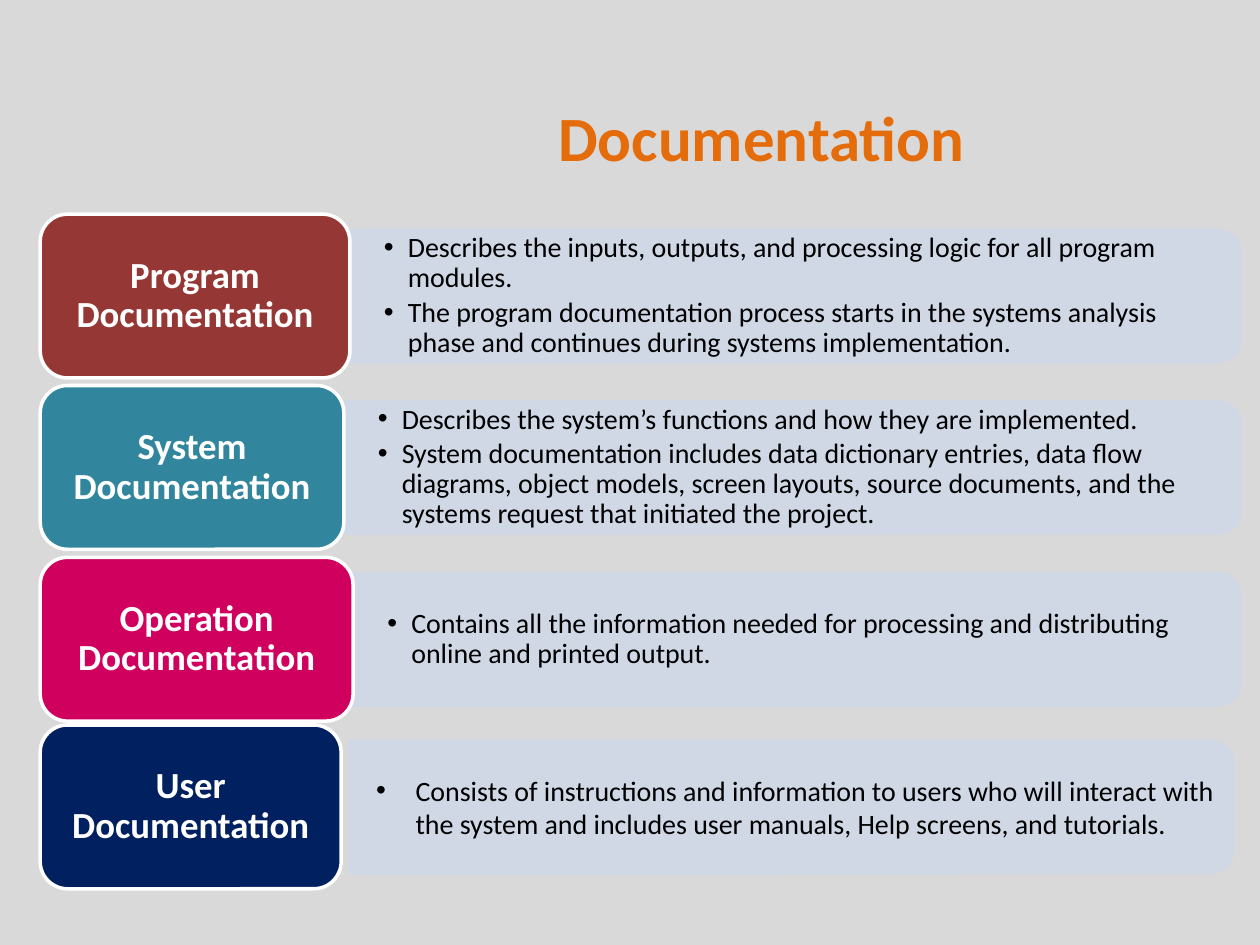
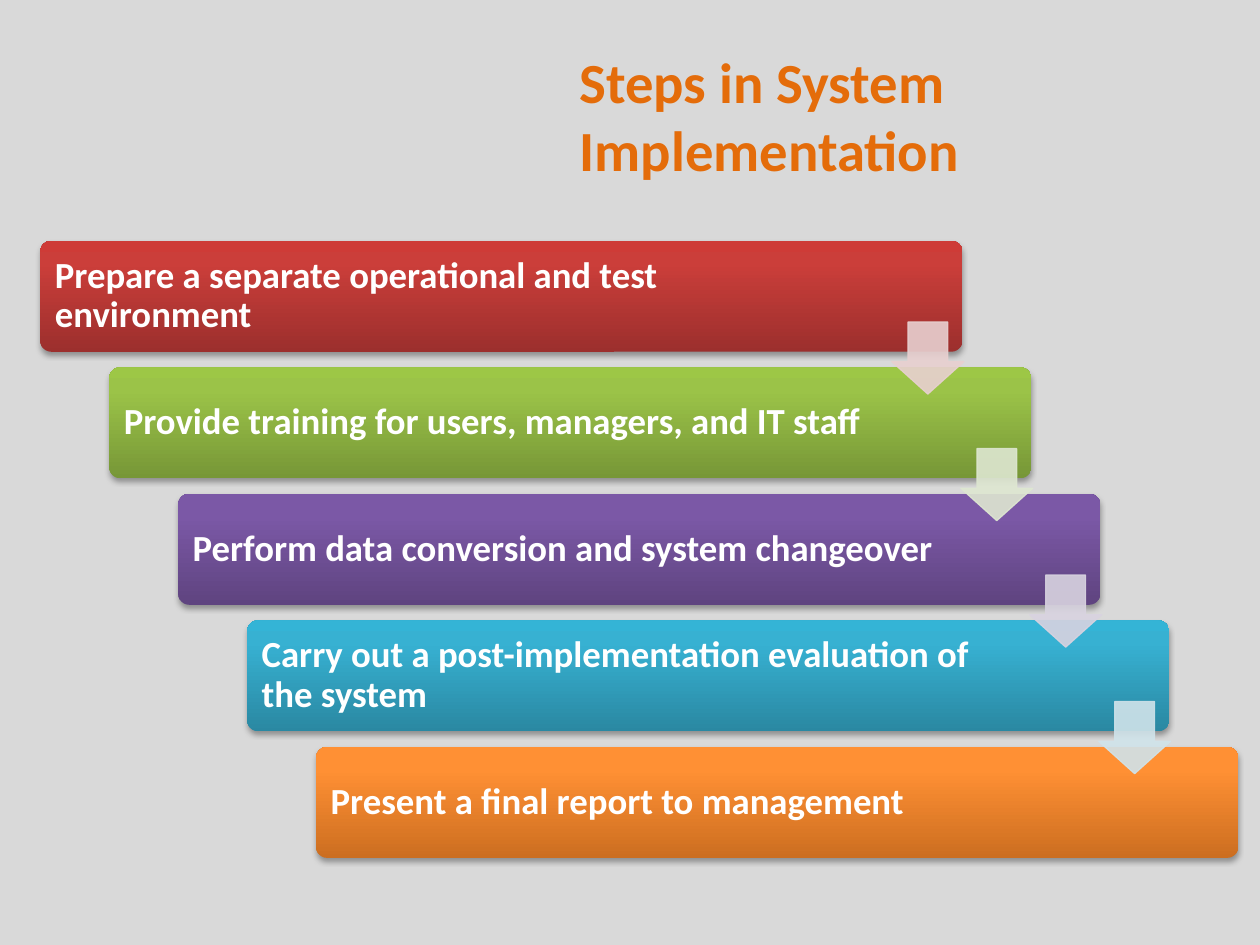
"""Build two slides: kinds of documentation and steps in system implementation."""
from copy import deepcopy

from lxml import etree
from pptx import Presentation
from pptx.dml.color import RGBColor
from pptx.enum.shapes import MSO_SHAPE
from pptx.enum.text import MSO_ANCHOR, PP_ALIGN
from pptx.oxml.ns import qn
from pptx.util import Pt

ROUND = MSO_SHAPE.ROUNDED_RECTANGLE
PANEL = MSO_SHAPE.ROUND_2_SAME_RECTANGLE
ARROW = MSO_SHAPE.DOWN_ARROW
MIDDLE = MSO_ANCHOR.MIDDLE
LEFT, CENTER = PP_ALIGN.LEFT, PP_ALIGN.CENTER

FONT = "Calibri"
BACK, ORANGE, PALE, WHITE, BLACK = "D9D9D9", "E46C0A", "D0D8E8", "FFFFFF", "000000"
EDGE = 23

TIGHT = {"inset": (19.4, 10), "indent": 13.7, "space": 0.9, "after": 2.4}
LOOSE = {"inset": (15, 3.6), "indent": 22.5, "space": 1, "after": 0}

KINDS = [
    {"name": "Program Documentation", "color": "953735", "top": 122.4, "width": 177,
     "left": 200, "right": 708.5, "style": TIGHT, "points": [
         "Describes the inputs, outputs, and processing logic for all program modules.",
         "The program documentation process starts in the systems analysis phase and "
         "continues during systems implementation."]},
    {"name": "System Documentation", "color": "31859C", "top": 220.3, "width": 173.5,
     "left": 196.5, "right": 708.5, "style": TIGHT, "points": [
         "Describes the system’s functions and how they are implemented.",
         "System documentation includes data dictionary entries, data flow diagrams, "
         "object models, screen layouts, source documents, and the systems request "
         "that initiated the project."]},
    {"name": "Operation Documentation", "color": "D0005E", "top": 318.5, "width": 178.8,
     "left": 202, "right": 708.5, "style": TIGHT, "points": [
         "Contains all the information needed for processing and distributing online "
         "and printed output."]},
    {"name": "User Documentation", "color": "002060", "top": 414.3, "width": 172,
     "left": 200, "right": 704.5, "style": LOOSE, "points": [
         "Consists of instructions and information to users who will interact with the "
         "system and includes user manuals, Help screens, and tutorials."]},
]

STEPS = [
    ("Prepare a separate operational and test environment",
     ("9C2F2D", "CB3E3A", "CE3B37"), "E8D0D0"),
    ("Provide training for users, managers, and IT staff",
     ("779737", "9BC348", "9DC746"), "DEE7D1"),
    ("Perform data conversion and system changeover",
     ("5F4480", "7B58A6", "7C57A8"), "D8D3E0"),
    ("Carry out a post-implementation evaluation of the system",
     ("2A88A2", "37B1D2", "34B4D6"), "D0E3EA"),
    ("Present a final report to management",
     ("CC6E20", "FF9034", "FF9136"), None),
]


def rgb(code):
    """Turn a hex string into a colour."""
    return RGBColor.from_string(code)


def style(para, size, color, bold=False, align=LEFT):
    """Format one paragraph."""
    para.alignment = align
    font = para.font
    font.name, font.size, font.bold = FONT, Pt(size), bold
    font.color.rgb = rgb(color)


def inset(frame, left, top, right):
    """Set margins, wrapping and middle anchoring."""
    frame.margin_left, frame.margin_right = Pt(left), Pt(right)
    frame.margin_top = frame.margin_bottom = Pt(top)
    frame.word_wrap = True
    frame.vertical_anchor = MIDDLE


def add_slide(deck, title, box, size):
    """Add a title-only slide with its heading placed."""
    slide = deck.slides.add_slide(deck.slide_layouts[5])
    head = slide.shapes.title
    head.left, head.top, head.width, head.height = map(Pt, box)
    head.text_frame.text = title
    head.text_frame.vertical_anchor = MIDDLE
    style(head.text_frame.paragraphs[0], size, ORANGE, True)
    return slide


def add_form(slide, kind, box, fill=None, line=None, weight=0):
    """Add a plain preset shape without shadow."""
    form = slide.shapes.add_shape(kind, *map(Pt, box))
    form.shadow.inherit = False
    if fill:
        form.fill.solid()
        form.fill.fore_color.rgb = rgb(fill)
    if line:
        form.line.color.rgb = rgb(line)
        form.line.width = Pt(weight)
    else:
        form.line.fill.background()
    return form


def fade(form, share=90):
    """Make fill and line slightly transparent."""
    for tone in form._element.spPr.iter(qn("a:srgbClr")):
        etree.SubElement(tone, qn("a:alpha"), val=str(share * 1000))


def shade(form, tones):
    """Fill from bottom to top and cast a soft shadow."""
    fill = form.fill
    fill.gradient()
    fill.gradient_angle = 90
    props = form._element.spPr
    stops = props.find(".//" + qn("a:gsLst"))
    stops.append(deepcopy(stops[0]))
    for stop, place, tone in zip(fill.gradient_stops, (0, 0.8, 1), tones):
        stop.position = place
        stop.color.rgb = rgb(tone)
    cast = etree.SubElement(props.find(qn("a:effectLst")), qn("a:outerShdw"),
                            blurRad=str(Pt(3.1)), dist=str(Pt(1.8)),
                            dir="5400000", rotWithShape="0")
    tone = etree.SubElement(cast, qn("a:srgbClr"), val=BLACK)
    etree.SubElement(tone, qn("a:alpha"), val="35000")


def label(form, text, margins, align=LEFT):
    """Write bold white text in a shape."""
    frame = form.text_frame
    inset(frame, *margins)
    frame.text = text
    para = frame.paragraphs[0]
    para.line_spacing = 0.9
    style(para, 21, WHITE, True, align)


def add_points(slide, box, points, look):
    """Add a bulleted text box."""
    frame = slide.shapes.add_textbox(*map(Pt, box)).text_frame
    side, top = look["inset"]
    inset(frame, side, top, side if look is TIGHT else 7.2)
    frame.text = "\n".join(points)
    for para in frame.paragraphs:
        para.line_spacing = look["space"]
        para.space_after = Pt(look["after"])
        props = para._p.get_or_add_pPr()
        props.set("marL", str(Pt(look["indent"])))
        props.set("indent", str(-Pt(look["indent"])))
        etree.SubElement(props, qn("a:buFont"), typeface="Arial")
        etree.SubElement(props, qn("a:buChar"), char="•")
        style(para, 16, BLACK)


def add_kind(slide, kind):
    """Draw one row: pale panel, bullets and coloured label."""
    tall, thick, high = 93.6, 75, 67.6
    mid = kind["top"] + tall / 2
    left, wide = kind["left"], kind["right"] - kind["left"]
    box = (left + wide / 2 - thick / 2, mid - wide / 2, thick, wide)
    panel = add_form(slide, PANEL, box, PALE, PALE, 2)
    panel.rotation = 90
    fade(panel)
    add_points(slide, (left, mid - high / 2, wide - 3.5, high),
               kind["points"], kind["style"])
    tag = add_form(slide, ROUND, (EDGE, kind["top"], kind["width"], tall),
                   kind["color"], WHITE, 2)
    label(tag, kind["name"], (6.5, 3, 6.5), CENTER)


def add_steps(slide):
    """Draw the staircase of bars, then the arrows between them."""
    spots = [(EDGE + 39.4 * i, 137.6 + 72.3 * i) for i in range(len(STEPS))]
    for (left, top), (text, tones, _) in zip(spots, STEPS):
        bar = add_form(slide, ROUND, (left, top, 527, 63.4))
        bar.adjustments[0] = 0.1
        shade(bar, tones)
        label(bar, text, (6.5, 6.5, 88))
    for (left, top), (_, _, tone) in zip(spots, STEPS):
        if tone:
            arrow = add_form(slide, ARROW, (left + 486.6, top + 46.4, 41.2, 41.2),
                             tone, tone, 0.75)
            arrow.adjustments[0], arrow.adjustments[1] = 0.55, 0.45
            fade(arrow)


def main():
    """Build and save the deck."""
    deck = Presentation()
    deck.slide_width, deck.slide_height = Pt(720), Pt(540)
    back = deck.slide_master.background.fill
    back.solid()
    back.fore_color.rgb = rgb(BACK)

    slide = add_slide(deck, "Documentation", (311.8, 41.8, 371.5, 72), 36)
    for kind in KINDS:
        add_kind(slide, kind)

    slide = add_slide(deck, "Steps in System Implementation",
                      (324, 29.5, 359.3, 72), 32.4)
    add_steps(slide)
    deck.save("out.pptx")


if __name__ == "__main__":
    main()
